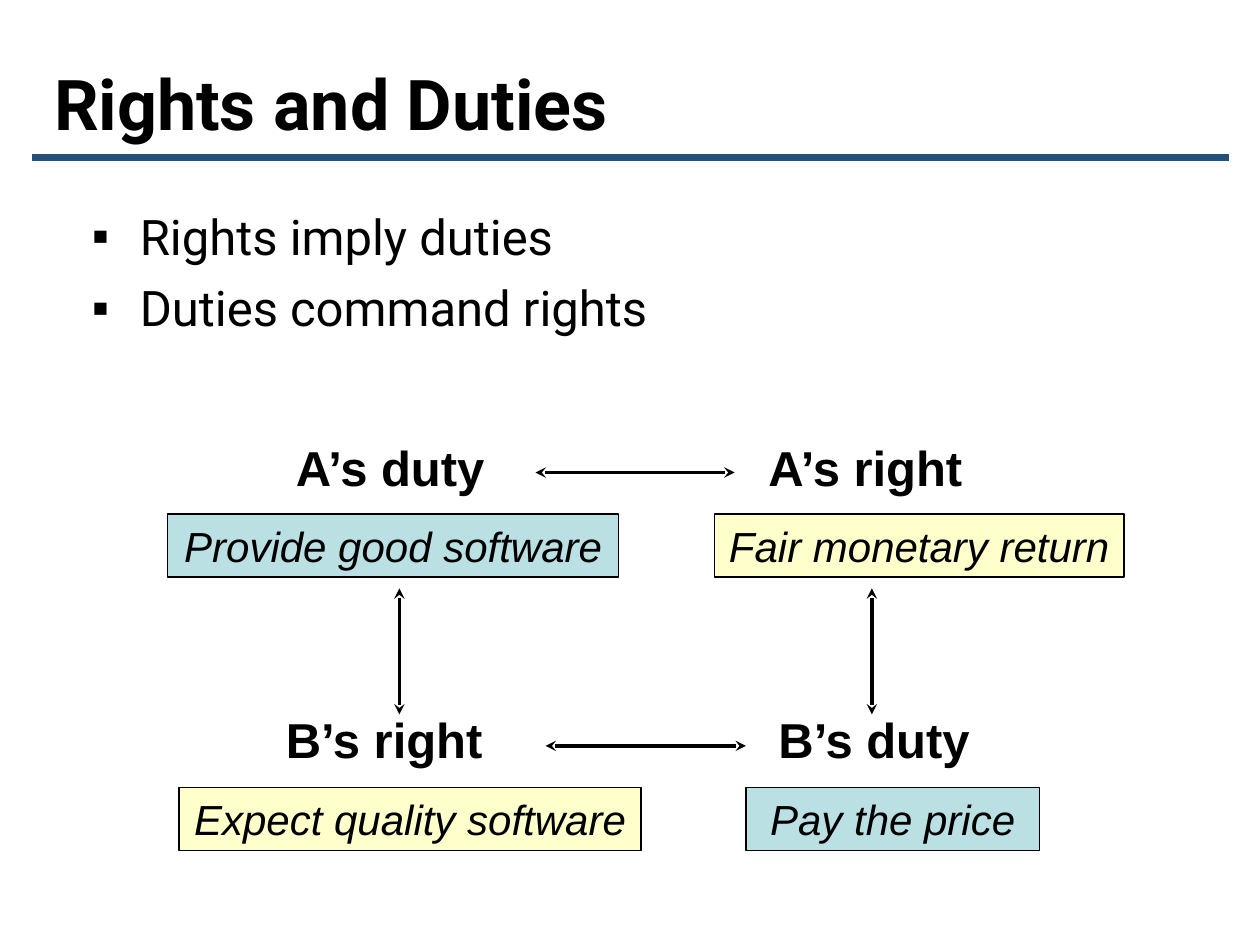
from lxml import etree
from pptx import Presentation
from pptx.dml.color import RGBColor
from pptx.enum import shapes, text
from pptx.oxml import ns
from pptx.util import Inches, Pt

BLACK = RGBColor(0x00, 0x00, 0x00)
NAVY = RGBColor(0x24, 0x51, 0x7A)
TEAL = RGBColor(0xBB, 0xE0, 0xE3)
CREAM = RGBColor(0xFF, 0xFF, 0xCC)

LABELS = [
    ("A’s duty", 2.25, 3.42, 2.17),
    ("A’s right", 6, 3.42, 2.08),
    ("B’s right", 2.17, 5.58, 2.33),
    ("B’s duty", 6.08, 5.58, 1.92),
]
CARDS = [
    ("Provide good software", 1.33, 4.08, 3.58, TEAL),
    ("Fair monetary return", 5.67, 4.08, 3.25, CREAM),
    ("Expect quality software", 1.42, 6.25, 3.67, CREAM),
    ("Pay the price", 5.92, 6.25, 2.33, TEAL),
]
ARROWS = [
    (4.25, 3.75, 5.83, 3.75),
    (4.33, 5.92, 5.92, 5.92),
    (3.17, 4.67, 3.17, 5.67),
    (6.92, 4.67, 6.92, 5.67),
]


def place(shape, left, top, width, height):
    """Move and size a placeholder, in inches."""
    shape.left, shape.top = Inches(left), Inches(top)
    shape.width, shape.height = Inches(width), Inches(height)


def style_text(paragraph, size, name, bold=False, italic=False):
    """Format every run of a paragraph."""
    for span in paragraph.runs:
        font = span.font
        font.size, font.name = Pt(size), name
        font.bold, font.italic = bold, italic
        font.color.rgb = BLACK


def add_bullet(paragraph):
    """Give a paragraph a small square bullet and a hanging indent."""
    properties = paragraph._p.get_or_add_pPr()
    properties.set("marL", str(Inches(0.38)))
    properties.set("indent", str(-Inches(0.38)))
    color = etree.SubElement(properties, ns.qn("a:buClr"))
    etree.SubElement(color, ns.qn("a:srgbClr"), val=str(BLACK))
    etree.SubElement(properties, ns.qn("a:buFont"), typeface="Arial")
    etree.SubElement(properties, ns.qn("a:buChar"), char="▪")


def fill_title(page, wording):
    """Write the slide title."""
    title = page.shapes.title
    place(title, 0.33, 0.3, 9.17, 1.03)
    frame = title.text_frame
    frame.text = wording
    frame.auto_size = text.MSO_AUTO_SIZE.NONE
    frame.vertical_anchor = text.MSO_ANCHOR.MIDDLE
    paragraph = frame.paragraphs[0]
    paragraph.alignment = text.PP_ALIGN.LEFT
    style_text(paragraph, 40, "Roboto", bold=True)


def fill_body(page, items):
    """Write the bulleted list."""
    body = page.placeholders[1]
    place(body, 0.63, 1.59, 9, 1.4)
    frame = body.text_frame
    frame.text = "\n".join(items)
    frame.auto_size = text.MSO_AUTO_SIZE.NONE
    for index, paragraph in enumerate(frame.paragraphs):
        add_bullet(paragraph)
        paragraph.space_before = Pt(7 if index else 0)
        style_text(paragraph, 28, "Roboto")


def add_label(page, wording, left, top, width):
    """Add a bold heading above a card."""
    box = page.shapes.add_textbox(Inches(left), Inches(top), Inches(width), Inches(0.57))
    frame = box.text_frame
    frame.word_wrap = True
    frame.text = wording
    style_text(frame.paragraphs[0], 28, "Arial", bold=True)


def add_card(page, wording, left, top, width, color):
    """Add an outlined card with centred italic text."""
    card = page.shapes.add_shape(
        shapes.MSO_SHAPE.RECTANGLE, Inches(left), Inches(top), Inches(width), Inches(0.5)
    )
    card.shadow.inherit = False
    card.fill.solid()
    card.fill.fore_color.rgb = color
    card.line.color.rgb = BLACK
    card.line.width = Pt(1)
    frame = card.text_frame
    frame.word_wrap = True
    frame.vertical_anchor = text.MSO_ANCHOR.TOP
    frame.text = wording
    paragraph = frame.paragraphs[0]
    paragraph.alignment = text.PP_ALIGN.CENTER
    style_text(paragraph, 24, "Arial", italic=True)


def add_line(page, ends, color, width):
    """Add a straight line without shadow."""
    line = page.shapes.add_connector(
        shapes.MSO_CONNECTOR.STRAIGHT, *(Inches(value) for value in ends)
    )
    line.line.color.rgb = color
    line.line.width = Pt(width)
    etree.SubElement(line._element.spPr, ns.qn("a:effectLst"))
    return line


def add_double_arrow(page, ends):
    """Add a line with an arrowhead at both ends."""
    outline = add_line(page, ends, BLACK, 2).line._get_or_add_ln()
    for tag in ("a:headEnd", "a:tailEnd"):
        etree.SubElement(outline, ns.qn(tag), type="stealth")


def main():
    """Build the slide and save the deck."""
    deck = Presentation()
    deck.slide_width, deck.slide_height = Inches(10), Inches(7.5)
    page = deck.slides.add_slide(deck.slide_layouts[1])
    add_line(page, (0.25, 1.25, 9.75, 1.25), NAVY, 4.5)
    fill_title(page, "Rights and Duties")
    fill_body(page, ["Rights imply duties", "Duties command rights"])
    for label in LABELS:
        add_label(page, *label)
    for card in CARDS:
        add_card(page, *card)
    for ends in ARROWS:
        add_double_arrow(page, ends)
    deck.save("out.pptx")


if __name__ == "__main__":
    main()
